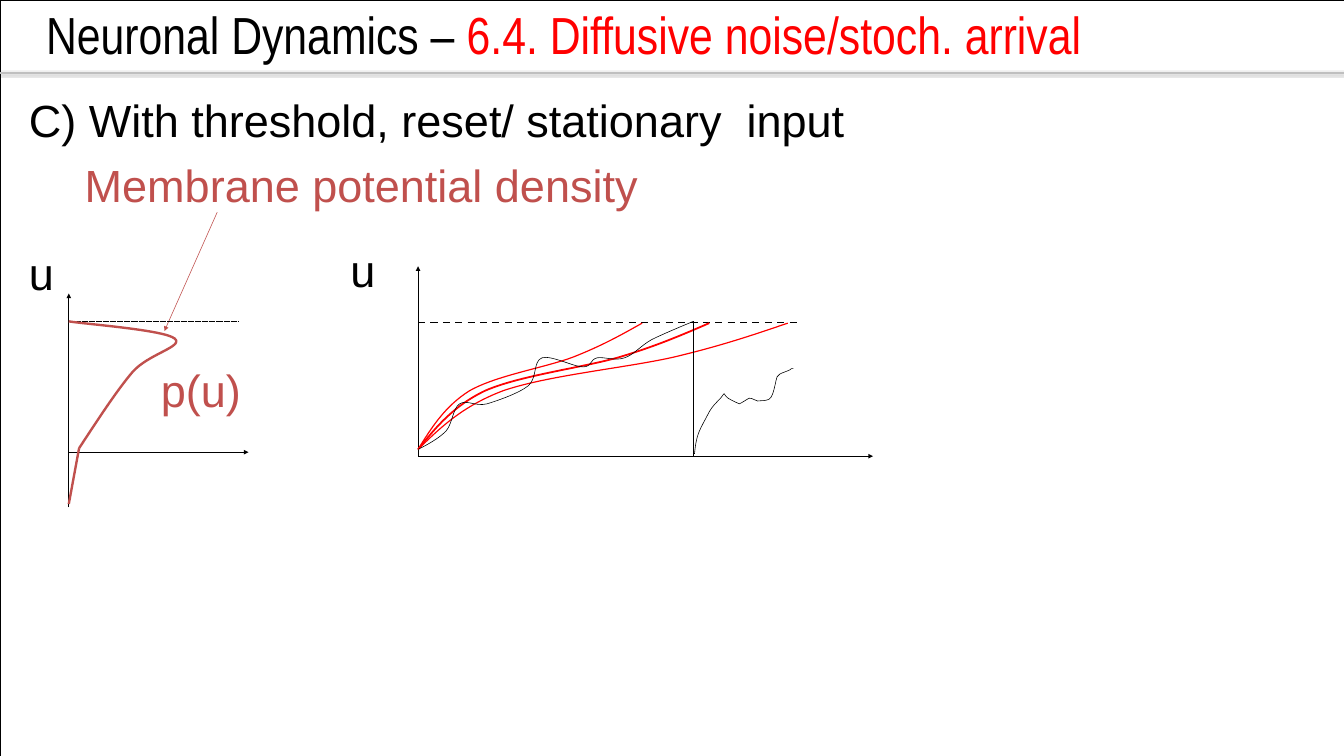
"""Build the slide on membrane potential density with threshold and reset."""
from lxml.etree import SubElement
from pptx import Presentation
from pptx.dml.color import RGBColor
from pptx.enum.dml import MSO_LINE
from pptx.enum.shapes import MSO_CONNECTOR, MSO_SHAPE
from pptx.enum.text import MSO_ANCHOR, MSO_AUTO_SIZE, PP_ALIGN
from pptx.oxml.ns import qn
from pptx.util import Pt

COLORS = {"black": "000000", "red": "FF0000", "density": "C0504D", "rule": "BFBFBF"}
WIDTH, HEIGHT = 1701.36, 956.88

prs = Presentation()
prs.slide_width, prs.slide_height = Pt(WIDTH), Pt(HEIGHT)
slide = prs.slides.add_slide(prs.slide_layouts[5])
shapes = slide.shapes


def add_line(start, end, color="black", weight=0.75, dash=None, arrow=False):
    connector = shapes.add_connector(
        MSO_CONNECTOR.STRAIGHT, *[Pt(v) for v in (*start, *end)])
    connector.line.color.rgb = RGBColor.from_string(COLORS[color])
    connector.line.width = Pt(weight)
    if dash:
        connector.line.dash_style = dash
    properties = connector._element.spPr
    if arrow:
        SubElement(properties.find(qn("a:ln")), qn("a:tailEnd"), type="triangle")
    return SubElement(properties, qn("a:effectLst"))


def add_curve(points, color="black", weight=0.75):
    corners = [(Pt(x), Pt(y)) for x, y in points]
    builder = shapes.build_freeform(*corners[0], scale=1.0)
    builder.add_line_segments(corners[1:], close=False)
    curve = builder.convert_to_shape()
    curve.shadow.inherit = False
    curve.fill.background()
    curve.line.color.rgb = RGBColor.from_string(COLORS[color])
    curve.line.width = Pt(weight)
    segments = list(curve._element.iter(qn("a:lnTo")))
    outline = segments[0].getparent()
    for first in range(0, len(segments), 3):
        bezier = SubElement(outline, qn("a:cubicBezTo"))
        for segment in segments[first:first + 3]:
            bezier.append(segment[0])
            outline.remove(segment)


frame = shapes.add_shape(MSO_SHAPE.RECTANGLE, 0, 0, Pt(WIDTH), Pt(HEIGHT))
frame.shadow.inherit = False
frame.fill.background()
frame.line.color.rgb = RGBColor.from_string(COLORS["black"])
frame.line.width = Pt(0.75)

title = shapes.title
title.left, title.top, title.width, title.height = Pt(54.7), Pt(-2.9), Pt(1642.3), Pt(115.9)
heading = title.text_frame
heading.auto_size = MSO_AUTO_SIZE.NONE
heading.vertical_anchor = MSO_ANCHOR.TOP
heading.margin_left, heading.margin_top = Pt(3.6), Pt(6)
heading_line = heading.paragraphs[0]
heading_line.alignment = PP_ALIGN.LEFT
for words, color in (("Neuronal Dynamics – ", "black"),
                     ("6.4. Diffusive noise/stoch. arrival", "red")):
    run = heading_line.add_run()
    run.text = words
    run.font.name, run.font.size = "Arial Narrow", Pt(66)
    run.font.color.rgb = RGBColor.from_string(COLORS[color])

rule_effects = add_line((0, 92.2), (WIDTH, 92.2), "rule", 2)
rule_shadow = SubElement(rule_effects, qn("a:outerShdw"), blurRad=str(int(Pt(3.1))),
                         dist=str(int(Pt(1.6))), dir="5400000", rotWithShape="0")
shadow_color = SubElement(rule_shadow, qn("a:srgbClr"), val=COLORS["black"])
SubElement(shadow_color, qn("a:alpha"), val="38000")

for words, left, top, width, color in (
        ("C) With threshold, reset/ stationary  input", 29.5, 113, 1058.4, "black"),
        ("Membrane potential density", 100.1, 195.8, 776.9, "density"),
        ("u", 29.5, 306.7, 46.8, "black"),
        ("u", 436.3, 303.8, 46.8, "black"),
        ("p(u)", 196.6, 455, 117.4, "density")):
    label = shapes.add_textbox(Pt(left), Pt(top), Pt(width), Pt(76.3)).text_frame
    label.word_wrap = width > 500
    label.text = words
    font = label.paragraphs[0].runs[0].font
    font.name, font.size = "Arial", Pt(57)
    font.color.rgb = RGBColor.from_string(COLORS[color])

add_line((275, 268.6), (208.1, 419), "density", arrow=True)
add_line((87.1, 572.4), (314.6, 572.4), arrow=True)
add_line((87.1, 642.2), (87.1, 371.5), arrow=True)
add_line((87.1, 406.8), (301, 406.8), dash=MSO_LINE.ROUND_DOT)
add_line((100.1, 567.4), (87.1, 637.9), "density", 3)
add_curve([(100.1, 567.4), (123.8, 531.4), (147.6, 494.6), (167.8, 470.9),
           (187.9, 447.8), (234, 438.5), (221, 428.4),
           (207.4, 417.6), (109.4, 410.4), (87.1, 406.8)], "density", 3)

origin = (529.2, 577.4)
add_line(origin, (1105.2, 577.4), arrow=True)
add_line(origin, (529.2, 337), arrow=True)
add_line((529.2, 408.2), (1010.9, 408.2), weight=2.25, dash=MSO_LINE.DASH)

rise_steps = (0, 0.06, 0.12, 0.23, 0.35, 0.56, 0.69, 0.82, 0.91, 1)
rise_levels = (568.8, 541.4, 514.1, 494.6, 475.2, 465.8, 452.2, 437.8, 423.4, 409)
for reach, weight in ((368.6, 2.25), (468, 1.5), (283.7, 1.5)):
    add_curve([(529.2 + step * reach, level)
               for step, level in zip(rise_steps, rise_levels)], "red", weight)

noisy_path = [
    (529.2, 568.8), (542.2, 562.3), (555.1, 555.1), (564.5, 545.8),
    (573.1, 535.7), (573.1, 517), (581.8, 511.2),
    (590.4, 505.4), (601.9, 514.8), (616.3, 511.2),
    (630.7, 506.9), (657.4, 497.5), (668.9, 488.2),
    (680.4, 478.1), (674.6, 457.2), (686.2, 452.9),
    (697.7, 449.3), (726.5, 464.4), (738, 464.4),
    (749.5, 464.4), (746.6, 455), (756, 452.9),
    (764.6, 451.4), (779, 457.2), (790.6, 452.9),
    (802.1, 449.3), (810.7, 437.8), (825.1, 429.8),
    (839.5, 422.6), (869, 410.4), (877.7, 406.8)]
path_after_reset = [
    (879.1, 574.6), (882, 547.2), (884.9, 546.5), (897.8, 521.3),
    (901.4, 514.8), (906.5, 509.8), (912.2, 504),
    (913.7, 501.8), (916.6, 498.2), (916.6, 498.2),
    (918, 500.4), (919.4, 502.6), (921.6, 504),
    (925.9, 506.9), (936, 511.2), (936, 511.2),
    (952.6, 502.6), (944.6, 501.8), (959, 507.6),
    (964.1, 506.9), (969.1, 507.6), (973.4, 505.4),
    (977.8, 503.3), (979.9, 492.5), (980.6, 489.6),
    (984.2, 476.6), (980.6, 475.2), (995, 470.2),
    (1005.1, 466.6), (998.6, 466.6), (1004.4, 466.6)]
add_curve(noisy_path)
add_line((877.7, 406.8), (877.7, 577.4))
add_curve(path_after_reset)

prs.save("out.pptx")
